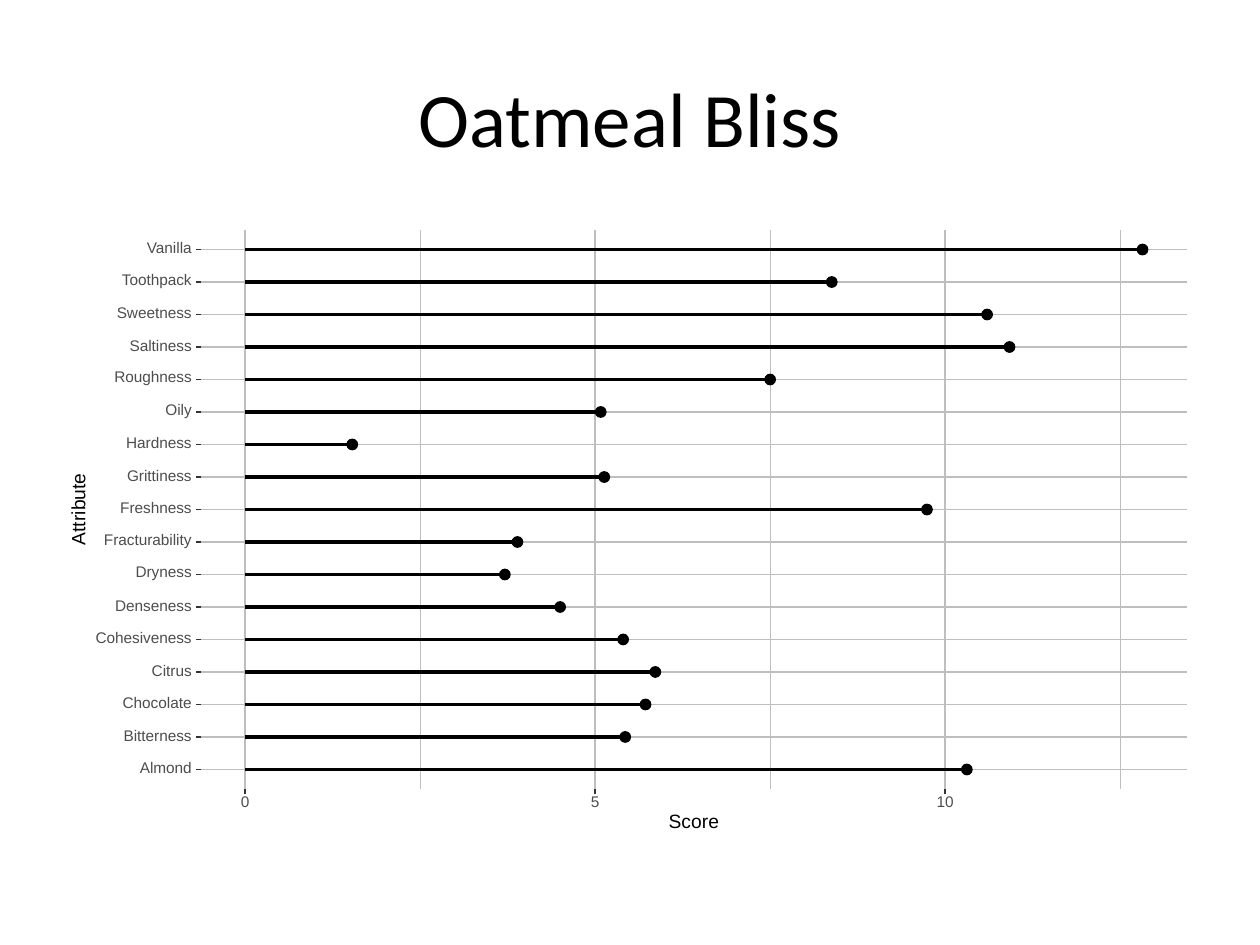
from pptx import Presentation
from pptx.dml.color import RGBColor
from pptx.enum.shapes import MSO_CONNECTOR as CONN, MSO_SHAPE as SHAPE
from pptx.enum.text import MSO_ANCHOR as ANCHOR, PP_ALIGN as ALIGN
from pptx.oxml.ns import qn
from pptx.util import Pt

# attribute, score, label width
ATTRIBUTES = [
    ("Vanilla", 12.82, 28), ("Toothpack", 8.38, 43),
    ("Sweetness", 10.6, 45), ("Saltiness", 10.92, 38),
    ("Roughness", 7.5, 46), ("Oily", 5.08, 17),
    ("Hardness", 1.53, 39), ("Grittiness", 5.13, 39),
    ("Freshness", 9.74, 43), ("Fracturability", 3.89, 52),
    ("Dryness", 3.71, 34), ("Denseness", 4.5, 46),
    ("Cohesiveness", 5.4, 57), ("Citrus", 5.86, 25),
    ("Chocolate", 5.72, 41), ("Bitterness", 5.43, 41),
    ("Almond", 10.31, 32),
]
LEFT, RIGHT, TOP, BOTTOM = 114.7, 678.3, 131.5, 450.8
ROW_TOP, ROW_STEP = 142.6, 18.57
ZERO, UNIT = 140.1, 40
TICK = 2.8
LABEL_RIGHT = 109.6
DOT = 6
GRID, BLACK, GRAY, TICK_COLOR, WHITE = "BEBEBE", "000000", "4D4D4D", "333333", "FFFFFF"


def rgb(color):
    return RGBColor.from_string(color)


def x_of(score):
    return ZERO + UNIT * score


def add_line(shapes, x1, y1, x2, y2, color, width=1.07):
    s = shapes.add_connector(CONN.STRAIGHT, Pt(x1), Pt(y1), Pt(x2), Pt(y2))
    s.line.color.rgb = rgb(color)
    s.line.width = Pt(width)
    sp_pr = s._element.spPr
    sp_pr.append(sp_pr.makeelement(qn("a:effectLst"), {}))


def add_shape(shapes, kind, x, y, w, h, color, line_width):
    s = shapes.add_shape(kind, Pt(x), Pt(y), Pt(w), Pt(h))
    s.shadow.inherit = False
    s.fill.solid()
    s.fill.fore_color.rgb = rgb(color)
    s.line.color.rgb = rgb(color)
    s.line.width = Pt(line_width)


def add_text(shapes, text, x, y, w, h, size, color, font="Arial", align=ALIGN.CENTER):
    s = shapes.add_textbox(Pt(x), Pt(y), Pt(w), Pt(h))
    tf = s.text_frame
    tf.word_wrap = False
    tf.vertical_anchor = ANCHOR.MIDDLE
    tf.margin_left = tf.margin_right = tf.margin_top = tf.margin_bottom = 0
    p = tf.paragraphs[0]
    p.text = text
    p.alignment = align
    p.line_spacing = Pt(size)
    p.font.size = Pt(size)
    p.font.name = font
    p.font.color.rgb = rgb(color)
    return s


def add_grid(shapes, rows):
    for score in (2.5, 7.5, 12.5):
        add_line(shapes, x_of(score), BOTTOM, x_of(score), TOP, GRID, 0.53)
    for y in rows:
        add_line(shapes, LEFT, y, RIGHT, y, GRID)
    for score in (0, 5, 10):
        add_line(shapes, x_of(score), BOTTOM, x_of(score), TOP, GRID)


def add_lollipops(shapes, rows):
    for y, (_, score, _) in zip(rows, ATTRIBUTES):
        add_shape(shapes, SHAPE.OVAL, x_of(score) - DOT / 2, y - DOT / 2, DOT, DOT, BLACK, 0.71)
        add_line(shapes, x_of(score), y, ZERO, y, BLACK, 2.13)


def add_axes(shapes, rows):
    for y, (name, _, width) in zip(rows, ATTRIBUTES):
        # Labels with descenders are taller and sit slightly higher.
        height, rise = (8, 0.9) if set(name) & set("gpy") else (6.4, 0.1)
        add_text(shapes, name, LABEL_RIGHT - width, y - rise - height / 2,
                 width, height, 8.8, GRAY, align=ALIGN.RIGHT)
        add_line(shapes, LEFT - TICK, y, LEFT, y, TICK_COLOR)
    for score in (0, 5, 10):
        x = x_of(score)
        width = 5.5 * len(str(score))
        add_line(shapes, x, BOTTOM + TICK, x, BOTTOM, TICK_COLOR)
        add_text(shapes, str(score), x - width / 2, 455.6, width, 6.4, 8.8, GRAY)
    add_text(shapes, "Score", 380.5, 466.3, 32, 8, 11, BLACK)
    add_text(shapes, "Attribute", 23.5, 287, 44, 8, 11, BLACK).rotation = 270


def main():
    prs = Presentation()
    prs.slide_width, prs.slide_height = Pt(720), Pt(540)
    slide = prs.slides.add_slide(prs.slide_layouts[6])
    rows = [ROW_TOP + ROW_STEP * i for i in range(len(ATTRIBUTES))]
    plot = slide.shapes.add_group_shape().shapes
    add_shape(plot, SHAPE.RECTANGLE, 36, 126, 648, 356.4, WHITE, 0.75)
    add_grid(plot, rows)
    add_lollipops(plot, rows)
    add_axes(plot, rows)
    title = add_text(slide.shapes, "Oatmeal Bliss", 36, 21.6, 648, 90, 44, BLACK, "Calibri")
    title.text_frame.word_wrap = True
    title.text_frame.paragraphs[0].line_spacing = 1.0
    prs.save("out.pptx")


if __name__ == "__main__":
    main()
